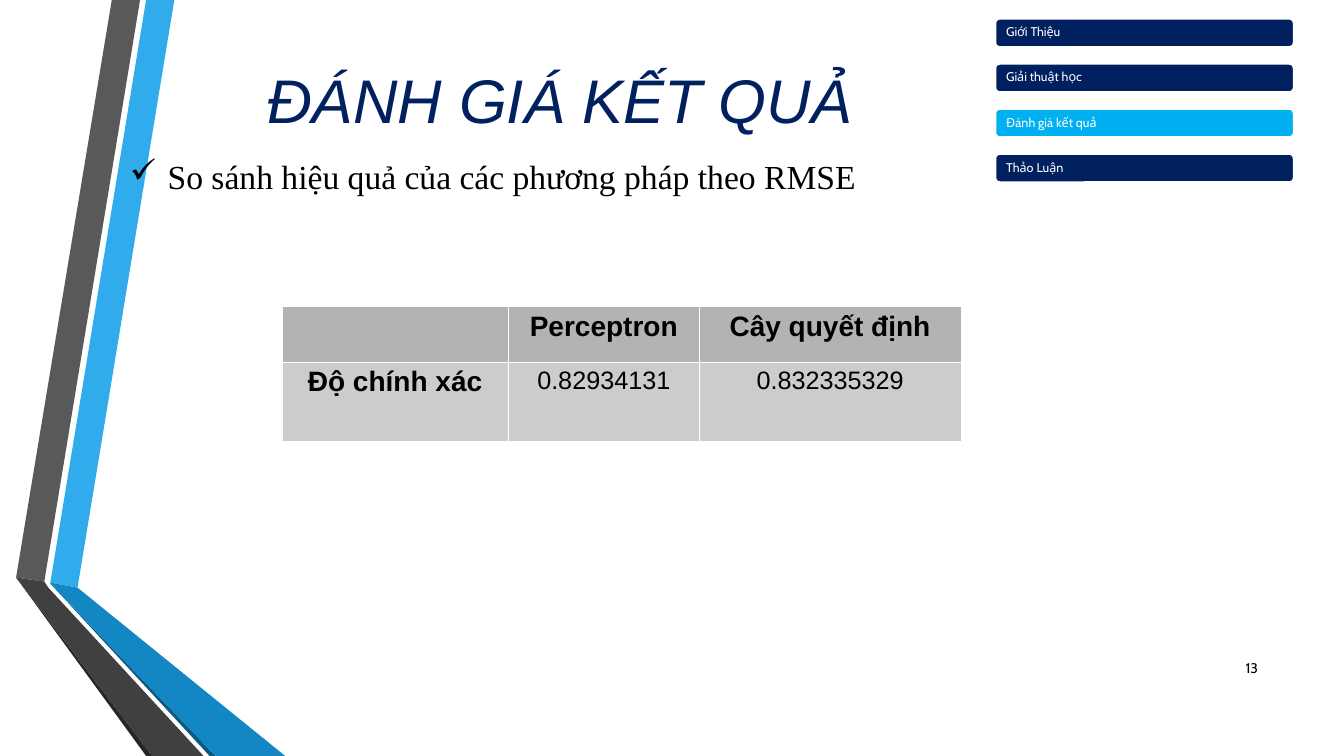
from lxml.etree import SubElement
from pptx import Presentation
from pptx.dml.color import RGBColor
from pptx.enum.shapes import MSO_SHAPE
from pptx.enum.text import MSO_ANCHOR, PP_ALIGN
from pptx.oxml.ns import qn
from pptx.util import Pt

NAVY, SKY, WHITE, BLACK = "002060", "00B0F0", "FFFFFF", "000000"
RIBBONS = [
    ("30ACEC", [(36, 416.16), (55.44, 419.76), (124.56, 0), (104.4, 0)]),
    ("595959", [(100.08, 0), (79.92, 0), (11.52, 412.56), (31.68, 415.44)]),
    ("262626", [(11.52, 412.56), (104.4, 540), (108.72, 540)]),
    ("0C5A82", [(36, 416.88), (149.76, 540), (154.08, 540)]),
    ("1287C3", [(36, 416.16), (36, 416.88), (154.08, 540), (203.76, 540), (55.44, 419.76)]),
    ("404040", [(145.44, 540), (34.56, 419.76), (31.68, 415.44), (11.52, 412.56), (108.72, 540)]),
]
SECTIONS = ["Giới Thiệu", "Giải thuật học", "Đánh giá kết quả", "Thảo Luận"]
CURRENT_SECTION = "Đánh giá kết quả"
RESULTS = [
    ["", "Perceptron", "Cây quyết định"],
    ["Độ chính xác", "0.82934131", "0.832335329"],
]


def color(code):
    """Turn a hex string into a colour."""
    return RGBColor.from_string(code)


def paint(fill, code):
    """Give a fill one solid colour."""
    fill.solid()
    fill.fore_color.rgb = color(code)


def write(frame, text, font, size, code, align=PP_ALIGN.LEFT, bold=False, italic=False):
    """Write one formatted paragraph and return it."""
    frame.text = text
    para = frame.paragraphs[0]
    para.alignment = align
    for span in para.runs:
        span.font.name = font
        span.font.size = Pt(size)
        span.font.color.rgb = color(code)
        span.font.bold = bold
        span.font.italic = italic
    return para


def add_ribbon(page, code, points):
    """Draw one closed facet of the folded ribbons."""
    corners = [(Pt(x), Pt(y)) for x, y in points]
    builder = page.shapes.build_freeform(*corners[0])
    builder.add_line_segments(corners[1:], close=True)
    ribbon = builder.convert_to_shape()
    ribbon.shadow.inherit = False
    paint(ribbon.fill, code)
    ribbon.line.fill.background()


def add_text(page, left, top, width, height, anchor=MSO_ANCHOR.MIDDLE, wrap=True):
    """Add a text box and return its text frame."""
    frame = page.shapes.add_textbox(Pt(left), Pt(top), Pt(width), Pt(height)).text_frame
    frame.word_wrap = wrap
    frame.vertical_anchor = anchor
    return frame


def add_check_bullet(para):
    """Put a hanging check mark before a paragraph."""
    properties = para._p.get_or_add_pPr()
    properties.set("marL", str(Pt(27)))
    properties.set("indent", str(-Pt(27)))
    bullet_color = SubElement(properties, qn("a:buClr"))
    SubElement(bullet_color, qn("a:srgbClr"), val=BLACK)
    SubElement(properties, qn("a:buChar"), char="✓")


def add_section_tab(page, index, name):
    """Add one bar of the section navigator."""
    tab = page.shapes.add_shape(
        MSO_SHAPE.ROUNDED_RECTANGLE, Pt(710.64), Pt(13 + 32.2 * index), Pt(213.84), Pt(20.88))
    tab.shadow.inherit = False
    tab.adjustments[0] = 0.167
    paint(tab.fill, SKY if name == CURRENT_SECTION else NAVY)
    tab.line.color.rgb = color(WHITE)
    tab.line.width = Pt(2)
    frame = tab.text_frame
    frame.word_wrap = True
    frame.vertical_anchor = MSO_ANCHOR.MIDDLE
    frame.margin_left, frame.margin_right = Pt(7.2), Pt(6.5)
    frame.margin_top = frame.margin_bottom = Pt(0.7)
    para = write(frame, name, "Cabin", 9, WHITE)
    para.line_spacing = 0.9
    para.space_after = Pt(3.1)


def add_cell_borders(cell):
    """Outline a table cell with white hairlines."""
    properties = cell._tc.get_or_add_tcPr()
    for side in ("a:lnL", "a:lnR", "a:lnT", "a:lnB"):
        border = SubElement(properties, qn(side), w=str(Pt(0.06)))
        solid = SubElement(border, qn("a:solidFill"))
        SubElement(solid, qn("a:srgbClr"), val=WHITE)


def add_results_table(page):
    """Add the table that compares the two methods."""
    table = page.shapes.add_table(2, 3, Pt(201.6), Pt(218.9), Pt(485), Pt(96)).table
    table.first_row = table.horz_banding = False
    for column, width in zip(table.columns, (161.3, 136.8, 186.5)):
        column.width = Pt(width)
    for row, height in zip(table.rows, (39.4, 56.6)):
        row.height = Pt(height)
    for i, values in enumerate(RESULTS):
        for j, value in enumerate(values):
            cell = table.cell(i, j)
            heading = i == 0 or j == 0
            add_cell_borders(cell)
            paint(cell.fill, "B3B3B3" if i == 0 else "CCCCCC")
            write(cell.text_frame, value, "Arial", 20 if heading else 18, BLACK,
                  PP_ALIGN.CENTER, bold=heading)


def main():
    """Build and save the slide."""
    deck = Presentation()
    deck.slide_width, deck.slide_height = Pt(960), Pt(540)
    page = deck.slides.add_slide(deck.slide_layouts[6])
    for code, points in RIBBONS:
        add_ribbon(page, code, points)
    number = add_text(page, 862.56, 462.96, 43.2, 28.8)
    write(number, "13", "Cabin", 10, BLACK, PP_ALIGN.RIGHT)
    subtitle = add_text(page, 85.68, 108, 532.8, 36, MSO_ANCHOR.TOP, wrap=False)
    add_check_bullet(write(subtitle, "So sánh hiệu quả của các phương pháp theo RMSE",
                           "Times New Roman", 24, BLACK, PP_ALIGN.CENTER))
    for index, name in enumerate(SECTIONS):
        add_section_tab(page, index, name)
    title = add_text(page, 5.76, 1.44, 789.12, 138.24)
    write(title, "ĐÁNH GIÁ KẾT QUẢ", "Arial", 44, NAVY, PP_ALIGN.CENTER, italic=True)
    add_results_table(page)
    deck.save("out.pptx")


if __name__ == "__main__":
    main()
